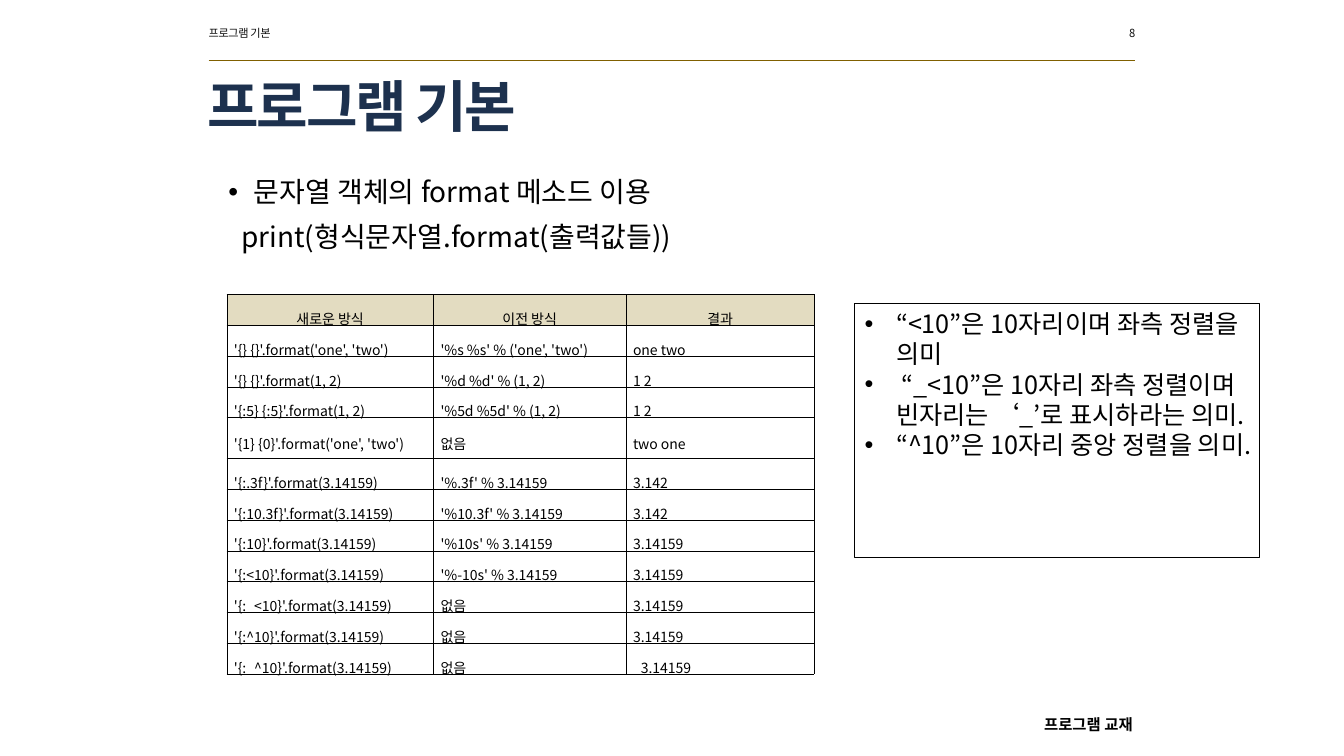
import pptx
import pptx.dml.color
import pptx.enum.shapes
import pptx.enum.text
import pptx.oxml.ns
import pptx.util
import lxml.etree

Pt = pptx.util.Pt
RGB = pptx.dml.color.RGBColor
ALIGN = pptx.enum.text.PP_ALIGN
ANCHOR = pptx.enum.text.MSO_ANCHOR
qn = pptx.oxml.ns.qn

FACE = "Noto Sans CJK KR"
BLACK = RGB(0x00, 0x00, 0x00)
GREY = RGB(0x0D, 0x0D, 0x0D)
NAVY = RGB(0x1D, 0x31, 0x4E)
GOLD = RGB(0x80, 0x60, 0x00)
SAND = RGB(0xE3, 0xDC, 0xC1)

ROWS = [
    ("새로운 방식", "이전 방식", "결과"),
    ("'{} {}'.format('one', 'two')", "'%s %s' % ('one', 'two')", "one two"),
    ("'{} {}'.format(1, 2)", "'%d %d' % (1, 2)", "1 2"),
    ("'{:5} {:5}'.format(1, 2)", "'%5d %5d' % (1, 2)", "1 2"),
    ("'{1} {0}'.format('one', 'two')", "없음", "two one"),
    ("'{:.3f}'.format(3.14159)", "'%.3f' % 3.14159", "3.142"),
    ("'{:10.3f}'.format(3.14159)", "'%10.3f' % 3.14159", "3.142"),
    ("'{:10}'.format(3.14159)", "'%10s' % 3.14159", "3.14159"),
    ("'{:<10}'.format(3.14159)", "'%-10s' % 3.14159", "3.14159"),
    ("'{:_<10}'.format(3.14159)", "없음", "3.14159___"),
    ("'{:^10}'.format(3.14159)", "없음", "3.14159"),
    ("'{:_^10}'.format(3.14159)", "없음", "_3.14159__"),
]
WIDTHS = (147.6, 137.5, 134.6)
TALL = 4  # the one row set higher than the rest
NOTES = [
    "“<10”은 10자리이며 좌측 정렬을 의미",
    " “_<10”은 10자리 좌측 정렬이며 빈자리는 ‘_’로 표시하라는 의미.",
    "“^10”은 10자리 중앙 정렬을 의미.",
]


def style(par, size, color, bold=False, track=0, align=ALIGN.LEFT):
    """Set the font and alignment of a paragraph."""
    par.alignment = align
    font = par.font
    font.size, font.bold, font.name = Pt(size), bold, FACE
    font.color.rgb = color
    props = font._element
    lxml.etree.SubElement(props, qn("a:ea")).set("typeface", FACE)
    if track:
        props.set("spc", str(round(track * 100)))


def indent(par, left, first=0, mark=None):
    """Set the indents and the bullet of a paragraph."""
    props = par._p.get_or_add_pPr()
    props.set("marL", str(Pt(left)))
    props.set("indent", str(Pt(first)))
    if mark:
        lxml.etree.SubElement(props, qn("a:buFont")).set("typeface", "Arial")
        lxml.etree.SubElement(props, qn("a:buChar")).set("char", mark)
    else:
        lxml.etree.SubElement(props, qn("a:buNone"))


def place(shape, box):
    """Move a placeholder to a box and return its text frame."""
    shape.left, shape.top, shape.width, shape.height = map(Pt, box)
    frame = shape.text_frame
    frame.word_wrap = True
    frame.auto_size = pptx.enum.text.MSO_AUTO_SIZE.NONE
    return frame


def label(slide, box, text, size, color, **look):
    """Single line of text in a box."""
    frame = slide.shapes.add_textbox(*map(Pt, box)).text_frame
    frame.word_wrap = True
    frame.text = text
    style(frame.paragraphs[0], size, color, **look)


def header(slide, box):
    """Running head, page number and rule below them."""
    left, top, width, height = box
    label(slide, (left - 7, top, 125, 17), "프로그램 기본", 8, GREY, track=-0.3)
    label(slide, (left + width - 118, top, 125, 17), "8", 8, GREY,
          track=-0.3, align=ALIGN.RIGHT)
    rule = slide.shapes.add_connector(
        pptx.enum.shapes.MSO_CONNECTOR.STRAIGHT,
        Pt(left), Pt(top + height), Pt(left + width), Pt(top + height))
    rule.line.color.rgb, rule.line.width = GOLD, Pt(0.25)
    lxml.etree.SubElement(rule._element.spPr, qn("a:effectLst"))


def title(slide, box):
    """Slide title."""
    frame = place(slide.shapes.title, box)
    frame.vertical_anchor = ANCHOR.MIDDLE
    frame.text = "프로그램 기본"
    par = frame.paragraphs[0]
    par.line_spacing = 0.9
    style(par, 40, NAVY, bold=True, track=-1.5)


def body(slide, box):
    """Bullet and the call below it."""
    frame = place(slide.placeholders[1], box)
    frame.vertical_anchor = ANCHOR.TOP
    frame.text = "문자열 객체의 format 메소드 이용\nprint(형식문자열.format(출력값들))"
    lead, call = frame.paragraphs
    for par, gap in ((lead, 0), (call, 10)):
        par.line_spacing, par.space_before = 0.9, Pt(gap)
    indent(lead, 18, -18, "•")
    indent(call, 9)
    for par in (lead, call):
        style(par, 20, BLACK)


def edge(cell):
    """Draw thin black borders on all sides of a cell."""
    props = cell._tc.get_or_add_tcPr()
    for side in ("a:lnL", "a:lnR", "a:lnT", "a:lnB"):
        line = lxml.etree.SubElement(props, qn(side), w=str(Pt(0.28)))
        fill = lxml.etree.SubElement(line, qn("a:solidFill"))
        lxml.etree.SubElement(fill, qn("a:srgbClr"), val=str(BLACK))


def grid(slide, box):
    """Table of new style, old style and result."""
    shape = slide.shapes.add_table(len(ROWS), len(WIDTHS), *map(Pt, box))
    table = shape.table
    table.first_row = table.horz_banding = False
    for col, width in zip(table.columns, WIDTHS):
        col.width = Pt(width)
    for i, texts in enumerate(ROWS):
        table.rows[i].height = Pt(29 if i == TALL else 13)
        for j, text in enumerate(texts):
            cell = table.cell(i, j)
            cell.margin_left = cell.margin_right = Pt(5.1)
            cell.margin_top = cell.margin_bottom = Pt(1.4)
            cell.vertical_anchor = ANCHOR.MIDDLE
            edge(cell)
            if i == 0:
                cell.fill.solid()
                cell.fill.fore_color.rgb = SAND
            else:
                cell.fill.background()
            cell.text = text
            par = cell.text_frame.paragraphs[0]
            par.line_spacing = 1.6
            style(par, 10, BLACK,
                  align=ALIGN.JUSTIFY if i else ALIGN.CENTER)
    shape.height = Pt(box[3])


def notes(slide, box):
    """Framed list that explains the alignment codes."""
    shape = slide.shapes.add_shape(
        pptx.enum.shapes.MSO_SHAPE.RECTANGLE, *map(Pt, box))
    shape.shadow.inherit = False
    shape.fill.background()
    shape.line.color.rgb, shape.line.width = BLACK, Pt(0.75)
    frame = shape.text_frame
    frame.word_wrap = True
    frame.vertical_anchor = ANCHOR.TOP
    frame.text = "\n".join(NOTES)
    for par in frame.paragraphs:
        indent(par, 22.5, -22.5, "•")
        style(par, 18, BLACK)


def main():
    deck = pptx.Presentation()
    deck.slide_width, deck.slide_height = Pt(960), Pt(540)
    slide = deck.slides.add_slide(deck.slide_layouts[1])
    header(slide, (149, 15, 662, 28.2))
    title(slide, (141, 52, 667.5, 52.5))
    body(slide, (156, 124, 648, 66))
    # Footer
    label(slide, (738.7, 507.6, 101.5, 21), "프로그램 교재", 11, BLACK,
          bold=True)
    grid(slide, (162, 210.2, sum(WIDTHS), 270.7))
    notes(slide, (610.5, 216.7, 289.5, 181.4))
    deck.save("out.pptx")


if __name__ == "__main__":
    main()
